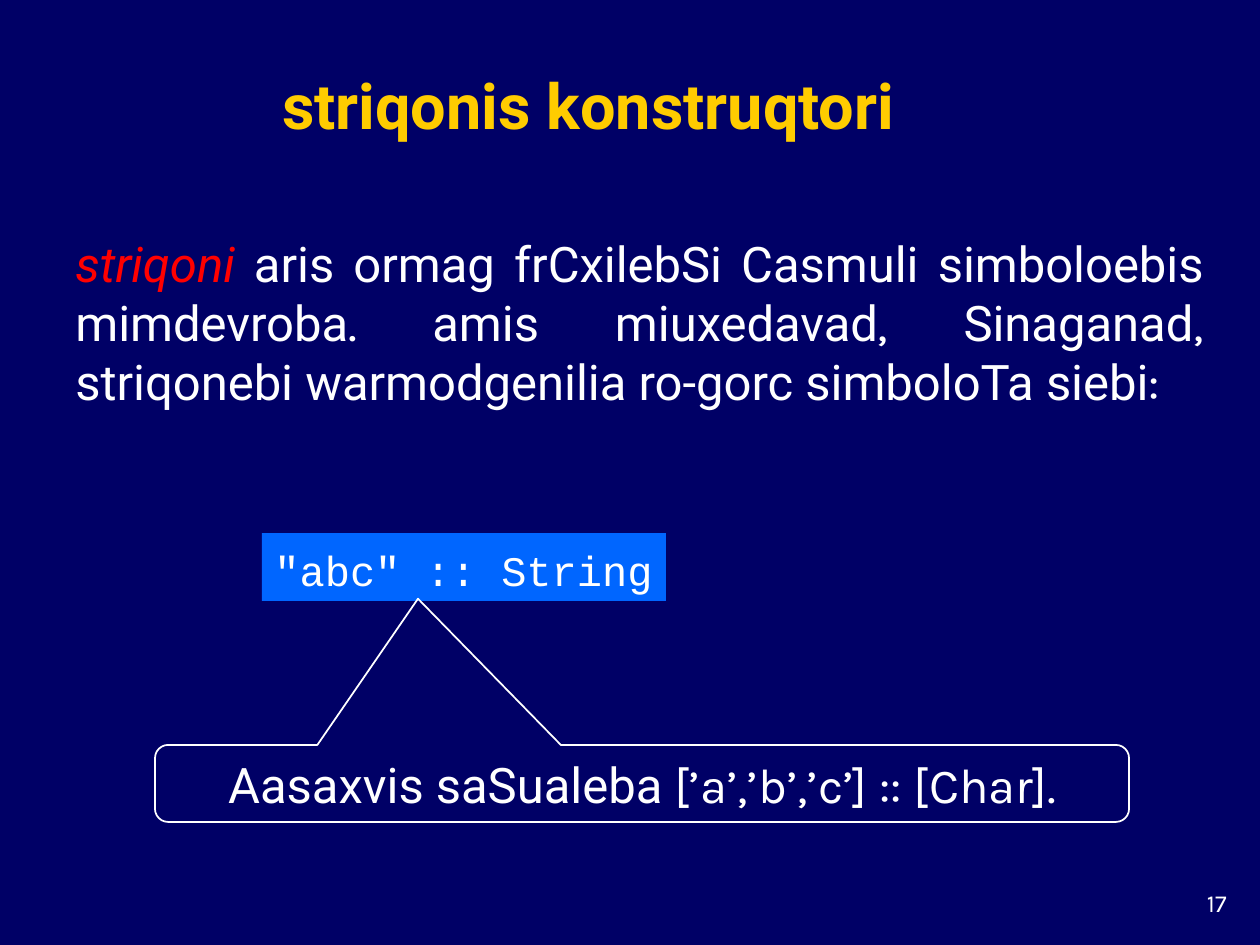
import pptx
import pptx.dml.color
import pptx.enum.shapes
import pptx.enum.text
import pptx.util

PX = 914400 / 126
THEME = {
    "background": "000066", "title": "FFCC00", "term": "FF0000",
    "text": "FFFFFF", "code_fill": "0066FF",
    "title_size": 36, "body_size": 28, "code_size": 24, "number_size": 14,
    "main": "Roboto", "symbols": "Karla", "code": "Courier New",
}
ALIGN = pptx.enum.text.PP_ALIGN
ANCHOR = pptx.enum.text.MSO_ANCHOR
FIT = pptx.enum.text.MSO_AUTO_SIZE
SHAPE = pptx.enum.shapes.MSO_SHAPE


def box(left, top, width, height):
    return [round(value * PX) for value in (left, top, width, height)]


def write(shape, runs, size, align, frame_format):
    frame = shape.text_frame
    for name, value in frame_format.items():
        setattr(frame, name, value)
    paragraph = frame.paragraphs[0]
    paragraph.alignment = align
    for text, face, color, style in runs:
        run = paragraph.add_run()
        run.text = text
        run.font.color.rgb = pptx.dml.color.RGBColor.from_string(THEME[color])
        font_format = {"name": THEME[face], "size": pptx.util.Pt(THEME[size]), **style}
        for name, value in font_format.items():
            setattr(run.font, name, value)
    return paragraph


deck = pptx.Presentation()
deck.slide_width = pptx.util.Inches(10)
deck.slide_height = pptx.util.Inches(7.5)
slide = deck.slides.add_slide(deck.slide_layouts[6])
slide.background.fill.solid()
slide.background.fill.fore_color.rgb = pptx.dml.color.RGBColor.from_string(THEME["background"])

page_number = slide.shapes.add_textbox(*box(1155, 882, 84, 42))
write(page_number, [("17", "symbols", "text", {})], "number_size", ALIGN.RIGHT,
      {"word_wrap": True})

title = slide.shapes.add_textbox(*box(53, 53, 1071, 95))
write(title, [("striqonis konstruqtori", "main", "title", {"bold": True})],
      "title_size", ALIGN.CENTER,
      {"word_wrap": True, "vertical_anchor": ANCHOR.BOTTOM})

fitted = {"word_wrap": True, "vertical_anchor": ANCHOR.MIDDLE,
          "auto_size": FIT.SHAPE_TO_FIT_TEXT}

definition = slide.shapes.add_textbox(*box(63, 198, 1153, 248))
definition_runs = [("striqoni ", "main", "term", {"italic": True})]
for words, mark in (
    ("aris ormag frCxilebSi Casmuli simboloebis mimdevroba", ". "),
    ("amis miuxedavad", ", "),
    ("Sinaganad", ", "),
    ("striqonebi warmodgenilia ro-gorc simboloTa siebi", ":"),
):
    definition_runs += [(words, "main", "text", {}), (mark, "symbols", "text", {})]
write(definition, definition_runs, "body_size", ALIGN.JUSTIFY, fitted)

string_type = slide.shapes.add_shape(SHAPE.RECTANGLE, *box(262, 533, 404, 68))
string_type.shadow.inherit = False
string_type.fill.solid()
string_type.fill.fore_color.rgb = pptx.dml.color.RGBColor.from_string(THEME["code_fill"])
string_type.line.fill.background()
signature = write(string_type, [('"abc" :: String', "code", "text", {})],
                  "code_size", ALIGN.LEFT, {**fitted, "word_wrap": False})
signature.line_spacing = 1.1

meaning = slide.shapes.add_shape(SHAPE.ROUNDED_RECTANGULAR_CALLOUT, *box(155, 745, 974, 77))
meaning.shadow.inherit = False
meaning.fill.background()
meaning.line.color.rgb = pptx.dml.color.RGBColor.from_string(THEME["text"])
meaning.line.width = pptx.util.Pt(1)
for index, value in enumerate((-0.23, -2.4, 0.17)):
    meaning.adjustments[index] = value
write(meaning, [("Aasaxvis saSualeba ", "main", "text", {}),
                ("[’a’,’b’,’c’] :: [Char].", "symbols", "text", {})],
      "body_size", ALIGN.CENTER, fitted)

deck.save("out.pptx")
